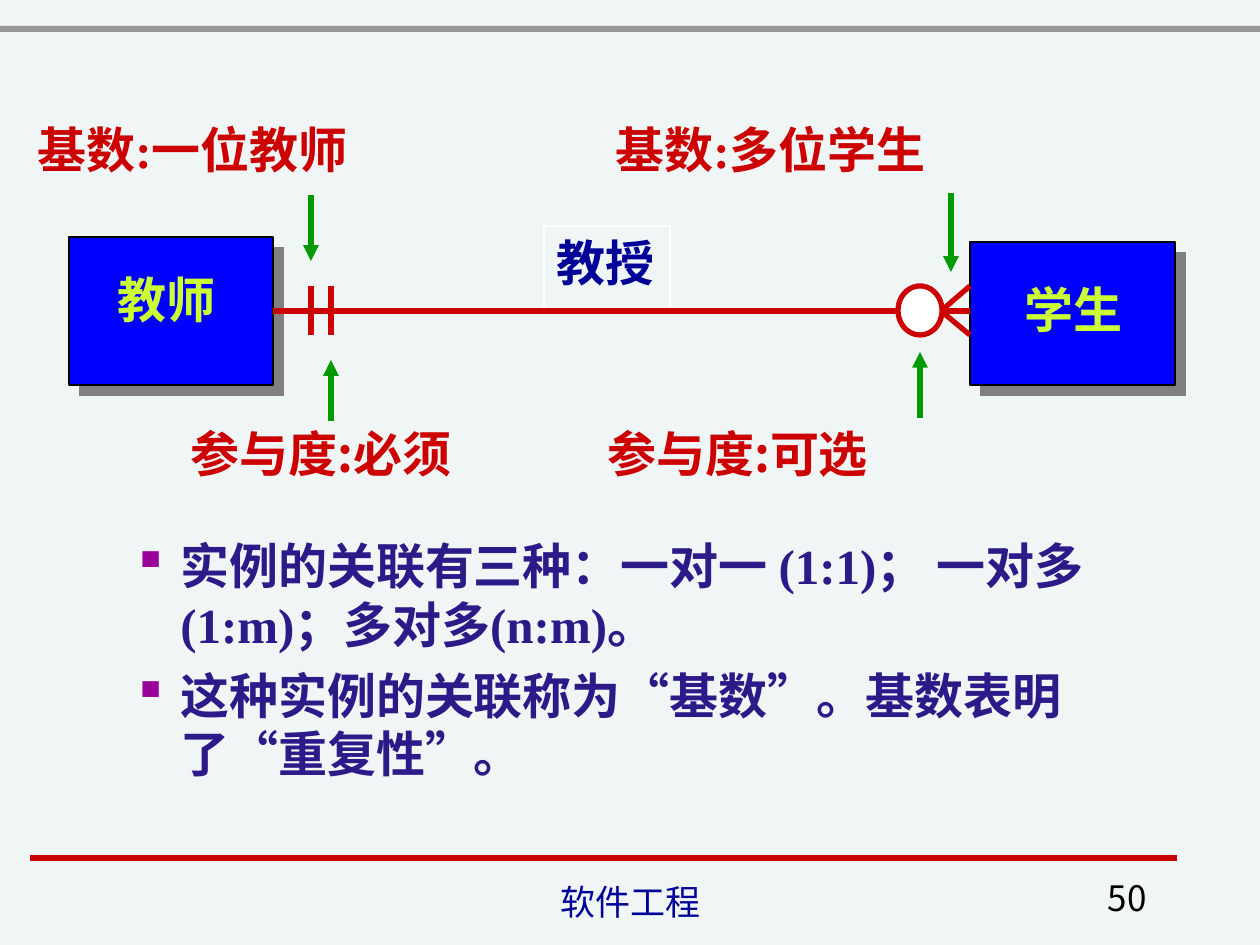
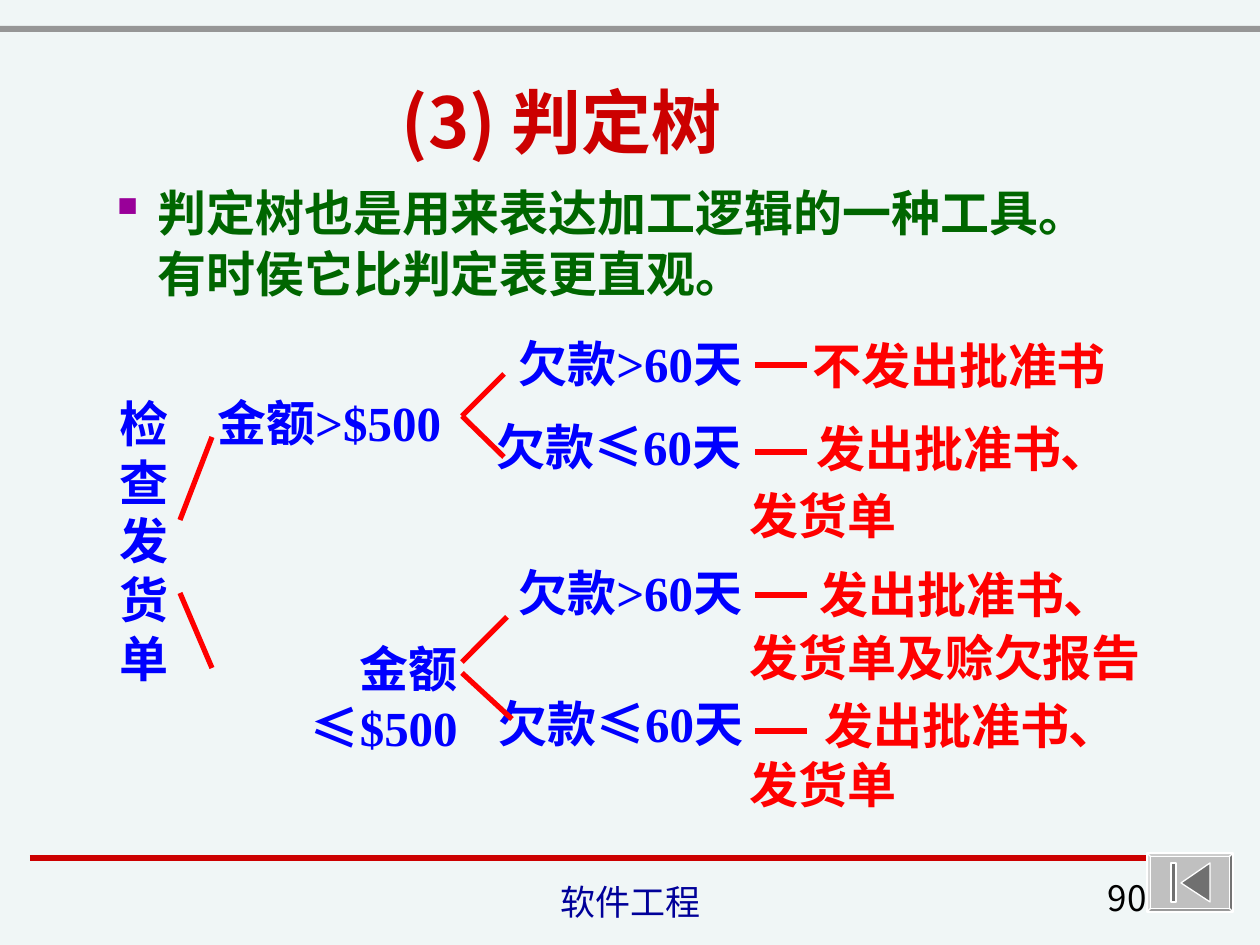
import pptx
import pptx.util
import pptx.dml.color
import pptx.enum.shapes
import pptx.enum.text
import pptx.oxml.ns
from lxml import etree

RGB = pptx.dml.color.RGBColor
SHAPE = pptx.enum.shapes.MSO_SHAPE
ALIGN = pptx.enum.text.PP_ALIGN
ANCHOR = pptx.enum.text.MSO_ANCHOR
qn = pptx.oxml.ns.qn

SCALE = 914400 / 126  # EMU per px
SERIF, CJK = "Times New Roman", "Noto Sans CJK SC"

BACKGROUND = RGB(0xF0, 0xF6, 0xF6)
BAND = RGB(0x96, 0x96, 0x96)
DARK_RED = RGB(0xCC, 0x00, 0x00)
RED = RGB(0xFF, 0x00, 0x00)
BLUE = RGB(0x00, 0x00, 0xFF)
NAVY = RGB(0x00, 0x00, 0x99)
INDIGO = RGB(0x2C, 0x1A, 0x88)
PURPLE = RGB(0x99, 0x00, 0x99)
GREEN = RGB(0x00, 0x99, 0x00)
DARK_GREEN = RGB(0x00, 0x66, 0x00)
LIME = RGB(0xCC, 0xFF, 0x33)
BLACK = RGB(0x00, 0x00, 0x00)
WHITE = RGB(0xFF, 0xFF, 0xFF)
GRAY = RGB(0x80, 0x80, 0x80)
DIM_GRAY = RGB(0x70, 0x70, 0x70)
SILVER = RGB(0xC0, 0xC0, 0xC0)


def px(*values):
    return [round(v * SCALE) for v in values]


def add_xml(parent, tag, **attrs):
    return etree.SubElement(parent, qn(tag), {k: str(v) for k, v in attrs.items()})


class Deck:
    def __init__(self):
        self.prs = pptx.Presentation()
        self.prs.slide_width, self.prs.slide_height = px(1260, 945)
        self.s = None

    def slide(self, number):
        """Start a slide with its band, rule and footers."""
        self.s = self.prs.slides.add_slide(self.prs.slide_layouts[6])
        fill = self.s.background.fill
        fill.solid()
        fill.fore_color.rgb = BACKGROUND
        self.shape(SHAPE.RECTANGLE, 0, 26, 1260, 6, BAND)
        self.line(30, 858, 1177, 858, DARK_RED)
        self.text(431, 880, 399, 49, "软件工程", NAVY, size=20, font="Arial Narrow",
                  bold=False, align=ALIGN.CENTER, anchor=ANCHOR.BOTTOM)
        self.text(897, 877, 262, 48, str(number), BLACK, size=20, font=CJK,
                  bold=False, align=ALIGN.RIGHT, anchor=ANCHOR.BOTTOM)

    def paint(self, sp, fill=None, line=None, width=0.75):
        sp.shadow.inherit = False
        if fill is None:
            sp.fill.background()
        else:
            sp.fill.solid()
            sp.fill.fore_color.rgb = fill
        if line is None:
            sp.line.fill.background()
        else:
            sp.line.color.rgb = line
            sp.line.width = pptx.util.Pt(width)
        return sp

    def shape(self, kind, x, y, w, h, fill=None, line=None, width=0.75):
        sp = self.s.shapes.add_shape(kind, *px(x, y, w, h))
        return self.paint(sp, fill, line, width)

    def shadow(self, sp):
        effects = sp._element.spPr.find(qn("a:effectLst"))
        outer = add_xml(effects, "a:outerShdw", dist=107950, dir=2700000,
                        algn="ctr", rotWithShape=0)
        add_xml(outer, "a:srgbClr", val=GRAY)

    def polygon(self, points, fill, line):
        start, *rest = [tuple(px(*point)) for point in points]
        builder = self.s.shapes.build_freeform(*start, scale=1.0)
        builder.add_line_segments(rest, close=True)
        return self.paint(builder.convert_to_shape(), fill, line)

    def line(self, x1, y1, x2, y2, color, arrow=False):
        c = self.s.shapes.add_connector(
            pptx.enum.shapes.MSO_CONNECTOR.STRAIGHT, *px(x1, y1, x2, y2))
        c.line.color.rgb = color
        c.line.width = pptx.util.Pt(3)
        spPr = c._element.spPr
        if arrow:
            add_xml(spPr.find(qn("a:ln")), "a:tailEnd", type="triangle")
        add_xml(spPr, "a:effectLst")
        return c

    def text(self, x, y, w, h, text, color, **style):
        sp = self.s.shapes.add_textbox(*px(x, y, w, h))
        self.fill_text(sp.text_frame, text, color, **style)

    def fill_text(self, tf, text, color, size=28, font=SERIF, bold=True,
                  align=ALIGN.LEFT, anchor=ANCHOR.TOP, spacing=None, bullet=False):
        tf.word_wrap = True
        tf.vertical_anchor = anchor
        for i, content in enumerate(text.split("\n")):
            p = tf.paragraphs[0] if i == 0 else tf.add_paragraph()
            p.alignment = align
            if spacing:
                p.line_spacing = spacing
            if bullet:
                if i:
                    p.space_before = pptx.util.Pt(7)
                self.bullet(p)
            # The comparison sign has a font of its own
            before, sign, after = content.partition("≤")
            for part in filter(None, (before, sign, after)):
                r = p.add_run()
                r.text = part
                if part == "≤":
                    r.font.name = "Arial"
            p.font.size = pptx.util.Pt(size)
            p.font.bold = bold
            p.font.name = font
            p.font.color.rgb = color
            add_xml(p._p.pPr.find(qn("a:defRPr")), "a:ea", typeface=CJK)

    def bullet(self, p):
        pPr = p._p.get_or_add_pPr()
        indent = px(48)[0]
        pPr.set("marL", str(indent))
        pPr.set("indent", str(-indent))
        add_xml(add_xml(pPr, "a:buClr"), "a:srgbClr", val=PURPLE)
        add_xml(pPr, "a:buChar", char="▪")


def cardinality_slide(d):
    d.slide(50)
    d.text(120, 529, 1053, 295,
           "实例的关联有三种：一对一 (1:1)； 一对多(1:m)；多对多(n:m)。\n"
           "这种实例的关联称为“基数”。基数表明了“重复性”。", INDIGO, bullet=True)

    # Entities
    teacher = d.shape(SHAPE.RECTANGLE, 69, 237, 204, 148, BLUE, BLACK)
    student = d.shape(SHAPE.RECTANGLE, 970, 242, 205, 143, BLUE, BLACK, 1)
    for entity in (teacher, student):
        d.shadow(entity)
    d.text(105, 263, 135, 84, "教师", LIME)
    d.text(1012, 280, 126, 71, "学生", LIME, spacing=0.9)

    # Relationship with its end marks
    for x in (311, 331):
        d.line(x, 286, x, 335, DARK_RED)
    for y in (286, 335):
        d.line(941, 311, 970, y, DARK_RED)
    label = d.shape(SHAPE.RECTANGLE, 544, 226, 126, 83, line=WHITE)
    d.fill_text(label.text_frame, "教授", NAVY)
    relation = d.line(273, 311, 970, 311, DARK_RED)
    relation.begin_connect(teacher, 3)
    d.shape(SHAPE.OVAL, 898, 286, 44, 49, WHITE, DARK_RED, 3)

    # Notes and the arrows to the marks
    for x, y1, y2 in ((311, 195, 261), (951, 193, 272),
                      (331, 421, 360), (920, 418, 352)):
        d.line(x, y1, x, y2, GREEN, arrow=True)
    for x, y, note, font in ((25, 113, "基数:一位教师", SERIF),
                             (603, 113, "基数:多位学生", SERIF),
                             (178, 417, "参与度:必须", CJK),
                             (595, 417, "参与度:可选", CJK)):
        d.text(x, y, 400, 72, note, DARK_RED, font=font)


def decision_tree_slide(d):
    d.slide(90)
    d.text(299, 68, 525, 105, "(3) 判定树", DARK_RED, size=40,
           font="Noto Sans CJK JP", align=ALIGN.CENTER, anchor=ANCHOR.MIDDLE)
    d.text(97, 173, 1040, 179,
           "判定树也是用来表达加工逻辑的一种工具。有时侯它比判定表更直观。",
           DARK_GREEN, spacing=1.05, bullet=True)

    # Root and amounts
    d.text(107, 387, 75, 307, "\n".join("检查发货单"), BLUE)
    d.text(205, 386, 290, 72, "金额>$500", BLUE)
    d.text(240, 632, 230, 132, "金额≤$500", BLUE, align=ALIGN.RIGHT)

    # Overdue days, each with its action
    over, within = "欠款>60天", "欠款≤60天"
    send = "发出批准书、"
    for x, y, days, dash_y, action_x, action_y, action in (
            (506, 327, over, 365, 800, 329, "不发出批准书"),
            (484, 410, within, 452, 804, 412, send),
            (506, 556, over, 595, 807, 558, send),
            (486, 687, within, 731, 812, 689, send)):
        d.text(x, y, 310, 81, days, BLUE)
        d.line(755, dash_y, 807, dash_y, RED)
        d.text(action_x, action_y, 350, 72, action, RED)
    for y, action in ((479, "发货单"), (621, "发货单及赊欠报告"), (748, "发货单")):
        d.text(737, y, 482, 72, action, RED)

    # Branches
    for ends in ((504, 374, 462, 416), (462, 416, 504, 457),
                 (507, 617, 462, 662), (462, 673, 512, 719),
                 (212, 437, 180, 520), (212, 668, 180, 593)):
        d.line(*ends, RED)

    # Return button
    button = d.shape(SHAPE.BEVEL, 1147, 853, 86, 59, SILVER, WHITE)
    button.adjustments[0] = 0.06
    d.polygon(((1181, 883), (1210, 863), (1210, 902)), DIM_GRAY, WHITE)
    d.shape(SHAPE.RECTANGLE, 1171, 863, 5, 39, DIM_GRAY, WHITE)


def main():
    d = Deck()
    cardinality_slide(d)
    decision_tree_slide(d)
    d.prs.save("out.pptx")


if __name__ == "__main__":
    main()
